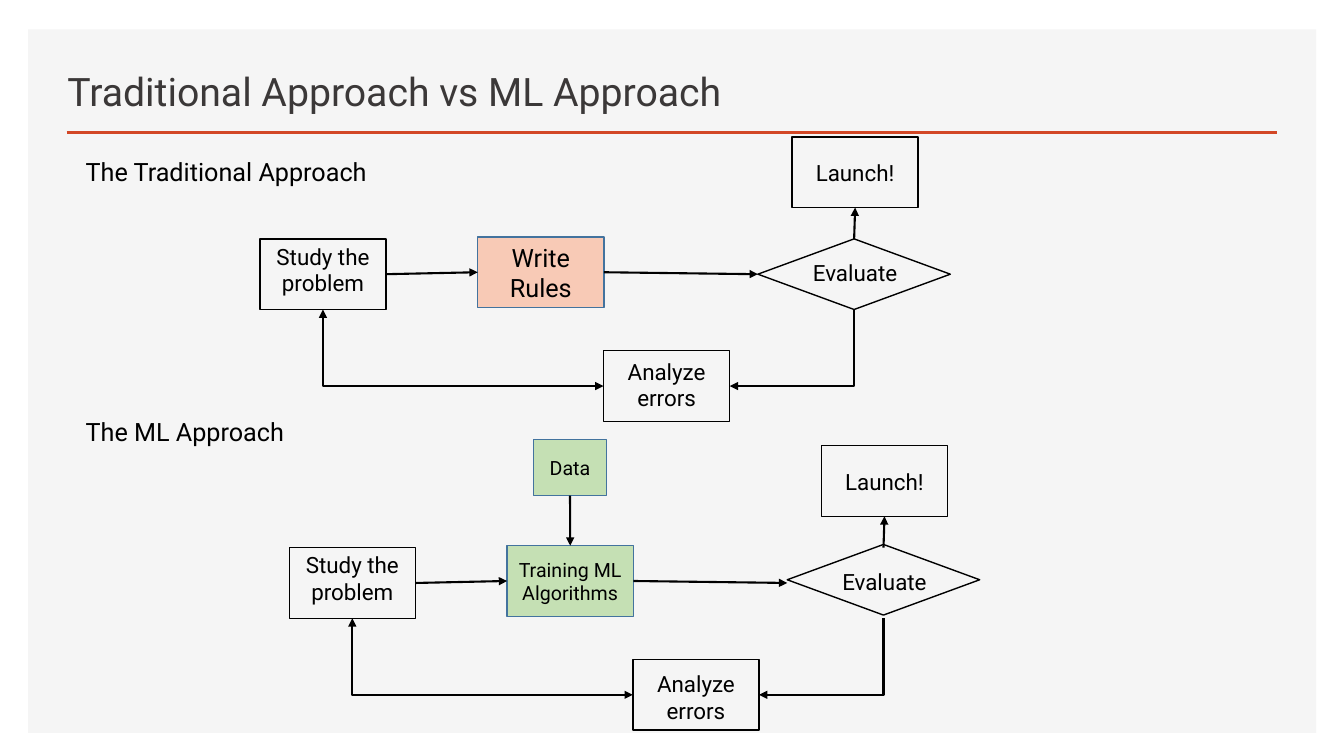
from pptx import Presentation
from pptx import util as u
from pptx.dml.color import RGBColor
from pptx.enum import shapes, text
from pptx.oxml.ns import qn
from lxml import etree

# Content: lengths in cm, boxes as (left, top, width, height)
HUES = {"ink": "000000", "title": "3B3838", "panel": "F5F5F5", "rule": "D24726",
        "edge": "43739E", "peach": "F8CAB6", "green": "C5E0B4"}
FONT = "Roboto"
TITLE = ("Traditional Approach vs ML Approach", (1.45, 1.24, 19.1, 1.78))
PANEL = (0.71, 0.74, 32.46, 17.73)
RULE = ((1.68, 3.33), (32.18, 3.33))
HEADS = [("The Traditional Approach", 3.81), ("The ML Approach", 10.36)]

# Places in the upper flow; the lower flow is the same, shifted
BOXES = {
    "study": (6.55, 6.02, 3.18, 1.78),
    "step": (12.04, 5.97, 3.18, 1.78),
    "errors": (15.21, 8.84, 3.18, 1.78),
    "launch": (19.96, 3.45, 3.18, 1.78),
    "check": (19.1, 6.02, 4.85, 1.78),
}
LABELS = {
    "study": ("Study the problem", (6.55, 5.99, 3.18, 1.63)),
    "check": ("Evaluate", (19.96, 6.4, 3.18, 0.94)),
    "launch": ("Launch!", (19.96, 3.89, 3.18, 0.94)),
    "errors": ("Analyze errors", (15.21, 8.89, 3.18, 1.63)),
}
# Arrows: from box, side, to box, side, head at start, head at end
ARROWS = [
    ("errors", "right", "check", "bottom", True, False),
    ("errors", "left", "study", "bottom", True, True),
    ("check", "top", "launch", "bottom", False, True),
    ("study", "right", "step", "left", False, True),
    ("step", "right", "check", "left", False, True),
]
FLOWS = [
    {"step": "Write Rules", "size": 18, "fill": "peach", "shift": (0, 0), "nudge": {}},
    {"step": "Training ML Algorithms", "size": 14, "fill": "green",
     "shift": (0.74, 7.78), "nudge": {"check": -0.08, "errors": 0.09}},
]
DATA = ("Data", (13.44, 11.07, 1.85, 1.42))

deck = Presentation()
deck.slide_width, deck.slide_height = u.Cm(33.87), u.Cm(19.05)
slide = deck.slides.add_slide(deck.slide_layouts[6])
tree = slide.shapes


def rgb(name):
    return RGBColor.from_string(HUES[name])


def put(obj, **vals):
    for key, val in vals.items():
        setattr(obj, key, val)


def move(box, dx, dy):
    return (box[0] + dx, box[1] + dy, *box[2:])


def side(box, name):
    x, y, w, h = box
    return {"left": (x, y + h / 2), "right": (x + w, y + h / 2),
            "top": (x + w / 2, y), "bottom": (x + w / 2, y + h)}[name]


def write(item, words, size, hue="ink", align="LEFT", anchor="TOP"):
    frame = item.text_frame
    put(frame, word_wrap=True, vertical_anchor=getattr(text.MSO_ANCHOR, anchor))
    para = frame.paragraphs[0]
    para.alignment = getattr(text.PP_ALIGN, align)
    run = para.add_run()
    run.text = words
    put(run.font, name=FONT, size=u.Pt(size))
    run.font.color.rgb = rgb(hue)


def label(words, box, size, **style):
    write(tree.add_textbox(*map(u.Cm, box)), words, size, **style)


def draw(box, fill=None, edge="ink", kind="RECTANGLE"):
    item = tree.add_shape(getattr(shapes.MSO_SHAPE, kind), *map(u.Cm, box))
    item.shadow.inherit = False
    if fill:
        item.fill.solid()
        item.fill.fore_color.rgb = rgb(fill)
    else:
        item.fill.background()
    if edge:
        item.line.color.rgb = rgb(edge)
        item.line.width = u.Pt(1)
    else:
        item.line.fill.background()
    return item


def link(start, end, hue="ink", width=1.5, first=False, last=False, bent=False):
    kind = shapes.MSO_CONNECTOR.ELBOW if bent else shapes.MSO_CONNECTOR.STRAIGHT
    item = tree.add_connector(kind, *map(u.Cm, (*start, *end)))
    item.line.color.rgb = rgb(hue)
    item.line.width = u.Pt(width)
    props = item._element.spPr
    if bent:
        props.find(qn("a:prstGeom")).set("prst", "bentConnector2")
    line = props.find(qn("a:ln"))
    for tag, shown in (("a:headEnd", first), ("a:tailEnd", last)):
        if shown:
            etree.SubElement(line, qn(tag)).set("type", "triangle")
    etree.SubElement(props, qn("a:effectLst"))


# Panel, title and rule
draw(PANEL, "panel", None)
link(*RULE, hue="rule", width=2)
label(*TITLE, 28, hue="title", anchor="BOTTOM")
for words, top in HEADS:
    label(words, (1.91, top, 11.1, 1.02), 18)

# The two flows
for flow in FLOWS:
    spots = {key: move(box, *flow["shift"]) for key, box in BOXES.items()}
    nudge = flow["nudge"]
    for key, box in spots.items():
        if key == "step":
            step = draw(box, flow["fill"], "edge")
            write(step, flow["step"], flow["size"], align="CENTER", anchor="MIDDLE")
        elif key == "check":
            draw(move(box, 0, nudge.get(key, 0)), kind="FLOWCHART_DECISION")
        else:
            draw(box)
    for src, out, dest, into, first, last in ARROWS:
        link(side(spots[src], out), side(spots[dest], into),
             first=first, last=last, bent=src == "errors")
    for key, (words, box) in LABELS.items():
        dx, dy = flow["shift"]
        drop = nudge.get(key, 0) if key == "errors" else 0
        label(words, move(box, dx, dy + drop), 16, align="CENTER")

# Data feeding the training step of the last flow
words, box = DATA
write(draw(box, "green", "edge"), words, 14, align="CENTER", anchor="MIDDLE")
link(side(box, "bottom"), side(spots["step"], "top"), last=True)

deck.save("out.pptx")
